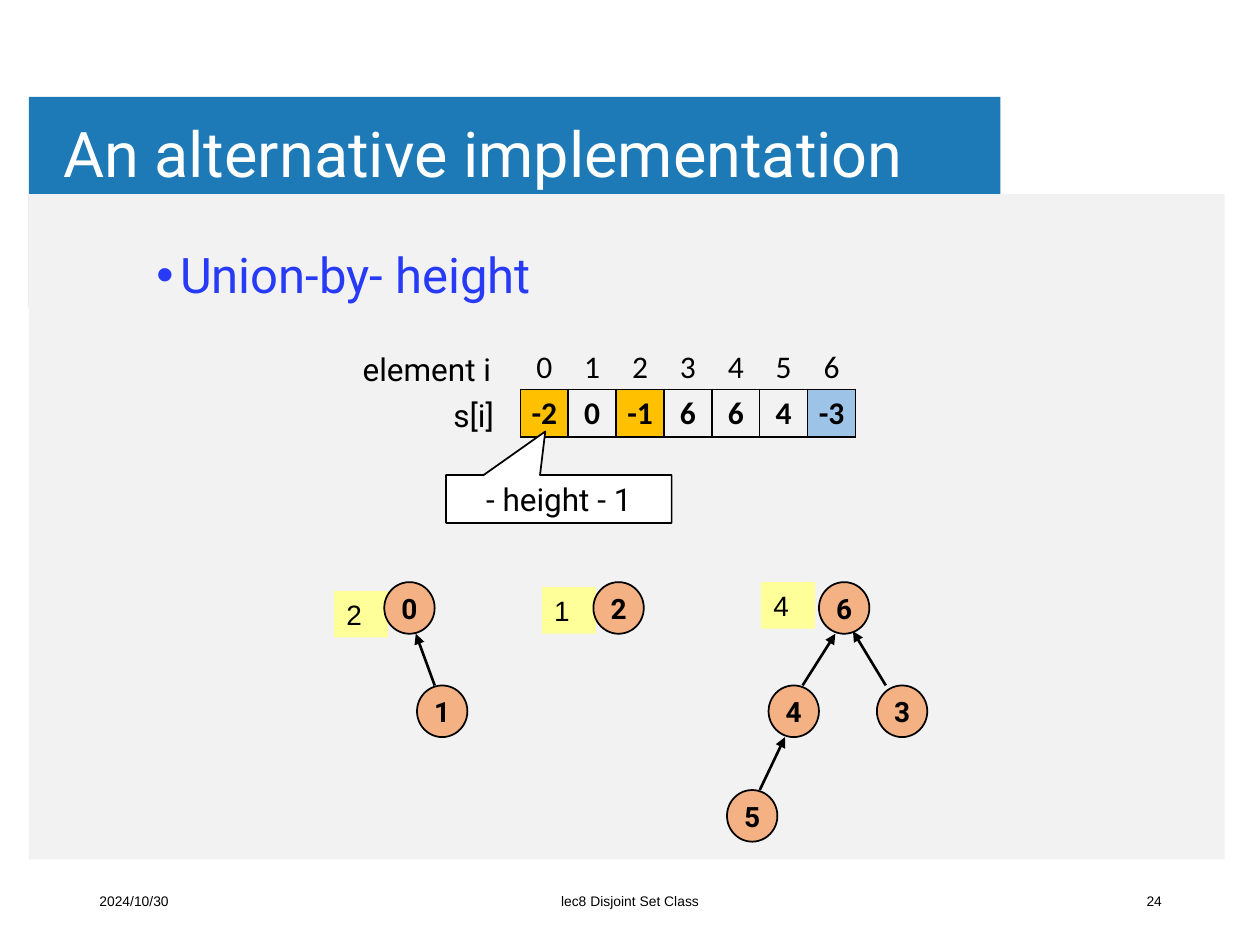
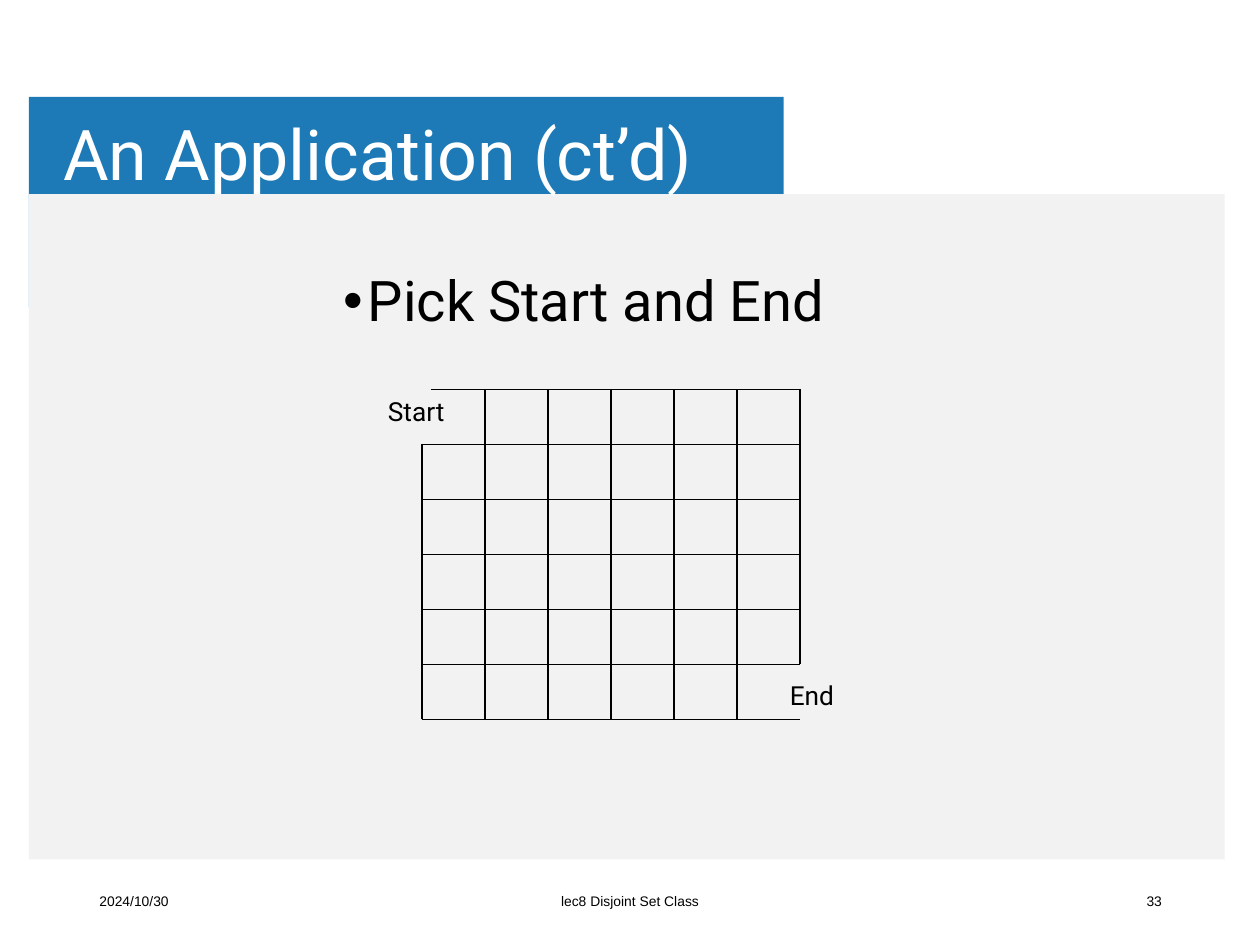
from lxml.etree import SubElement
from pptx import Presentation
from pptx.dml.color import RGBColor
from pptx.enum.shapes import MSO_CONNECTOR, MSO_SHAPE
from pptx.enum.text import MSO_ANCHOR, MSO_AUTO_SIZE, PP_ALIGN
from pptx.oxml.ns import qn
from pptx.util import Inches, Pt

BLACK = RGBColor(0x00, 0x00, 0x00)
WHITE = RGBColor(0xFF, 0xFF, 0xFF)
BAND_BLUE = RGBColor(0x1E, 0x7A, 0xB6)
PANEL_GREY = RGBColor(0xF2, 0xF2, 0xF2)
TEXT_BLUE = RGBColor(0x26, 0x3A, 0xF8)
ROOT_GOLD = RGBColor(0xFF, 0xC0, 0x00)
ROOT_BLUE = RGBColor(0x9D, 0xC3, 0xE6)
SIZE_YELLOW = RGBColor(0xFF, 0xFF, 0x99)
NODE_ORANGE = RGBColor(0xF4, 0xB1, 0x83)

MAIN_FONT = "Roboto"
PLAIN_FONT = "Arial"
TABLE_FONT = "Calibri"

NODE_WIDTH, NODE_HEIGHT = 0.4, 0.41
CELL_SIZE = 0.38


class LectureDeck:
    """Builds lecture slides that share one style."""

    def __init__(self):
        self.presentation = Presentation()
        self.presentation.slide_width = Inches(10)
        self.presentation.slide_height = Inches(7.5)
        self.slide = None

    def place(self, shape, left, top, width, height):
        shape.left, shape.top = Inches(left), Inches(top)
        shape.width, shape.height = Inches(width), Inches(height)

    def set_text(self, text_frame, text, size, color=BLACK, font=MAIN_FONT,
                 align=PP_ALIGN.LEFT, bold=False):
        text_frame.text = text
        paragraph = text_frame.paragraphs[0]
        paragraph.alignment = align
        for run in paragraph.runs:
            run.font.name = font
            run.font.size = Pt(size)
            run.font.bold = bold
            run.font.color.rgb = color
        return paragraph

    def new_slide(self, title, title_size, band_width, number):
        layout = self.presentation.slide_layouts[1]
        self.slide = self.presentation.slides.add_slide(layout)
        heading = self.slide.shapes.title
        for band in (self.shape(MSO_SHAPE.RECTANGLE, 0.23, 0.77, band_width, 1.67, BAND_BLUE),
                     self.shape(MSO_SHAPE.RECTANGLE, 0.23, 1.54, 9.49, 5.28, PANEL_GREY)):
            heading.element.addprevious(band.element)
        self.place(heading, 0.43, 0.76, 8.03, 0.98)
        text_frame = heading.text_frame
        text_frame.auto_size = MSO_AUTO_SIZE.NONE
        text_frame.vertical_anchor = MSO_ANCHOR.MIDDLE
        text_frame.margin_left = text_frame.margin_right = Inches(0.07)
        text_frame.margin_top = text_frame.margin_bottom = Inches(0.04)
        self.set_text(text_frame, title, title_size, WHITE).line_spacing = 0.9
        for left, width, text, align in (
                (0.69, 2.25, "2024/10/30", PP_ALIGN.LEFT),
                (3.31, 3.38, "lec8 Disjoint Set Class", PP_ALIGN.CENTER),
                (7.07, 2.25, str(number), PP_ALIGN.RIGHT)):
            footer = self.label(text, left, 6.95, width, 0.4, 7.9, PLAIN_FONT, align)
            footer.text_frame.word_wrap = True
            footer.text_frame.vertical_anchor = MSO_ANCHOR.MIDDLE

    def bullet(self, text, left, top, width, height, size, color=BLACK):
        body = self.slide.placeholders[1]
        self.place(body, left, top, width, height)
        body.text_frame.auto_size = MSO_AUTO_SIZE.NONE
        paragraph = self.set_text(body.text_frame, text, size, color)
        properties = paragraph._p.get_or_add_pPr()
        properties.set("marL", str(Inches(0.19)))
        properties.set("indent", str(-Inches(0.19)))
        SubElement(properties, qn("a:buChar"), char="•")
        paragraph.line_spacing = 0.9
        paragraph.space_before = Pt(0)

    def label(self, text, left, top, width, height, size,
              font=MAIN_FONT, align=PP_ALIGN.LEFT):
        box = self.slide.shapes.add_textbox(
            Inches(left), Inches(top), Inches(width), Inches(height))
        box.text_frame.word_wrap = False
        self.set_text(box.text_frame, text, size, font=font, align=align)
        return box

    def shape(self, kind, left, top, width, height, fill, outlined=False):
        shape = self.slide.shapes.add_shape(
            kind, Inches(left), Inches(top), Inches(width), Inches(height))
        shape.shadow.inherit = False
        shape.fill.solid()
        shape.fill.fore_color.rgb = fill
        if outlined:
            shape.line.color.rgb = BLACK
            shape.line.width = Pt(1)
        else:
            shape.line.fill.background()
        return shape

    def node(self, text, left, top):
        circle = self.shape(MSO_SHAPE.OVAL, left, top, NODE_WIDTH, NODE_HEIGHT,
                            NODE_ORANGE, outlined=True)
        circle.text_frame.word_wrap = False
        circle.text_frame.vertical_anchor = MSO_ANCHOR.MIDDLE
        self.set_text(circle.text_frame, text, 16, align=PP_ALIGN.CENTER, bold=True)

    def size_tag(self, text, left, top):
        tag = self.shape(MSO_SHAPE.RECTANGLE, left, top, 0.43, 0.37, SIZE_YELLOW)
        tag.text_frame.vertical_anchor = MSO_ANCHOR.TOP
        self.set_text(tag.text_frame, text, 16, font=PLAIN_FONT)

    def callout(self, text, left, top, width, height, tip):
        callout = self.shape(MSO_SHAPE.RECTANGULAR_CALLOUT, left, top, width, height,
                             WHITE, outlined=True)
        callout.adjustments[0], callout.adjustments[1] = tip
        callout.text_frame.vertical_anchor = MSO_ANCHOR.MIDDLE
        self.set_text(callout.text_frame, text, 18, align=PP_ALIGN.CENTER)

    def line(self, start, end, width=0.75, arrow=False):
        connector = self.slide.shapes.add_connector(
            MSO_CONNECTOR.STRAIGHT, *(Inches(value) for value in (*start, *end)))
        connector.line.color.rgb = BLACK
        connector.line.width = Pt(width)
        if arrow:
            outline = connector.element.spPr.find(qn("a:ln"))
            SubElement(outline, qn("a:tailEnd"), type="triangle")
        SubElement(connector.element.spPr, qn("a:effectLst"))

    def borders(self, cell, visible):
        properties = cell._tc.get_or_add_tcPr()
        for side in ("a:lnL", "a:lnR", "a:lnT", "a:lnB"):
            border = SubElement(properties, qn(side), w=str(Pt(1)))
            if visible:
                fill = SubElement(border, qn("a:solidFill"))
                SubElement(fill, qn("a:srgbClr"), val=str(BLACK))
            else:
                SubElement(border, qn("a:noFill"))

    def array_row(self, values, left, top, fills=None, framed=False):
        table = self.slide.shapes.add_table(
            1, len(values), Inches(left), Inches(top),
            Inches(CELL_SIZE * len(values)), Inches(CELL_SIZE)).table
        table.first_row = table.horz_banding = False
        for index, (cell, value) in enumerate(zip(table.iter_cells(), values)):
            cell.margin_left = cell.margin_right = Inches(0.07)
            cell.margin_top = cell.margin_bottom = Inches(0.04)
            self.borders(cell, framed)
            if fills and index in fills:
                cell.fill.solid()
                cell.fill.fore_color.rgb = fills[index]
            else:
                cell.fill.background()
            self.set_text(cell.text_frame, str(value), 18, font=TABLE_FONT,
                          align=PP_ALIGN.CENTER, bold=framed)

    def maze(self, left, top, right, bottom, count):
        step_x, step_y = (right - left) / count, (bottom - top) / count

        def corner(column, row):
            return left + column * step_x, top + row * step_y

        for row in range(count):
            for column in range(1, count + 1):
                if (row, column) != (0, 1):
                    self.line(corner(column - 1, row), corner(column, row))
                if (row, column) != (count - 1, count):
                    self.line(corner(column, row), corner(column, row + 1))
        self.line(corner(count - 1, count), corner(0, count))
        self.line(corner(0, count), corner(0, 1))
        self.line((left + 0.07, top), (left + 0.07 + step_x, top))
        self.line(corner(count - 1, count), corner(count, count))


def union_by_height_slide(deck):
    """Adds the slide with the array and its trees."""
    deck.new_slide("An alternative implementation", 36, 7.71, 24)
    deck.bullet("Union-by- height", 1.14, 1.94, 4.78, 0.9, 28, TEXT_BLUE)
    deck.array_row((-2, 0, -1, 6, 6, 4, -3), 4.13, 3.09,
                   {0: ROOT_GOLD, 2: ROOT_GOLD, 6: ROOT_BLUE}, framed=True)
    deck.array_row(range(7), 4.13, 2.73)
    deck.label("element i", 2.78, 2.73, 1.29, 0.4, 18)
    deck.label("s[i]", 3.5, 3.09, 0.61, 0.4, 18)
    for text, left, top in (("2", 2.65, 4.69), ("4", 6.04, 4.62), ("1", 4.3, 4.66)):
        deck.size_tag(text, left, top)
    level_tops = (4.62, 5.44, 6.27)
    nodes = ((3.05, 0), (3.31, 1), (4.71, 0), (6.96, 1), (6.1, 1), (5.77, 2), (6.5, 0))
    for element, (left, level) in enumerate(nodes):
        deck.node(str(element), left, level_tops[level])
    for child, parent in (((3.45, 5.44), (3.3, 5.03)), ((6.37, 5.44), (6.63, 5.03)),
                          ((7.03, 5.44), (6.77, 5.01)), ((6.03, 6.27), (6.23, 5.85))):
        deck.line(child, parent, 1.5, arrow=True)
    deck.callout("- height - 1", 3.54, 3.77, 1.79, 0.38, (-0.06, -1.41))


def maze_slide(deck):
    """Adds the slide with the maze grid."""
    deck.new_slide("An Application (ct’d)", 40, 5.99, 33)
    deck.bullet("Pick Start and End", 2.63, 2.12, 4.78, 0.23, 32)
    deck.maze(3.35, 3.09, 6.35, 5.71, 6)
    deck.label("Start", 2.98, 3.09, 0.68, 0.35, 15)
    deck.label("End", 6.17, 5.34, 0.58, 0.35, 15)


def main():
    """Builds and saves the slides."""
    deck = LectureDeck()
    union_by_height_slide(deck)
    maze_slide(deck)
    deck.presentation.save("out.pptx")


if __name__ == "__main__":
    main()
